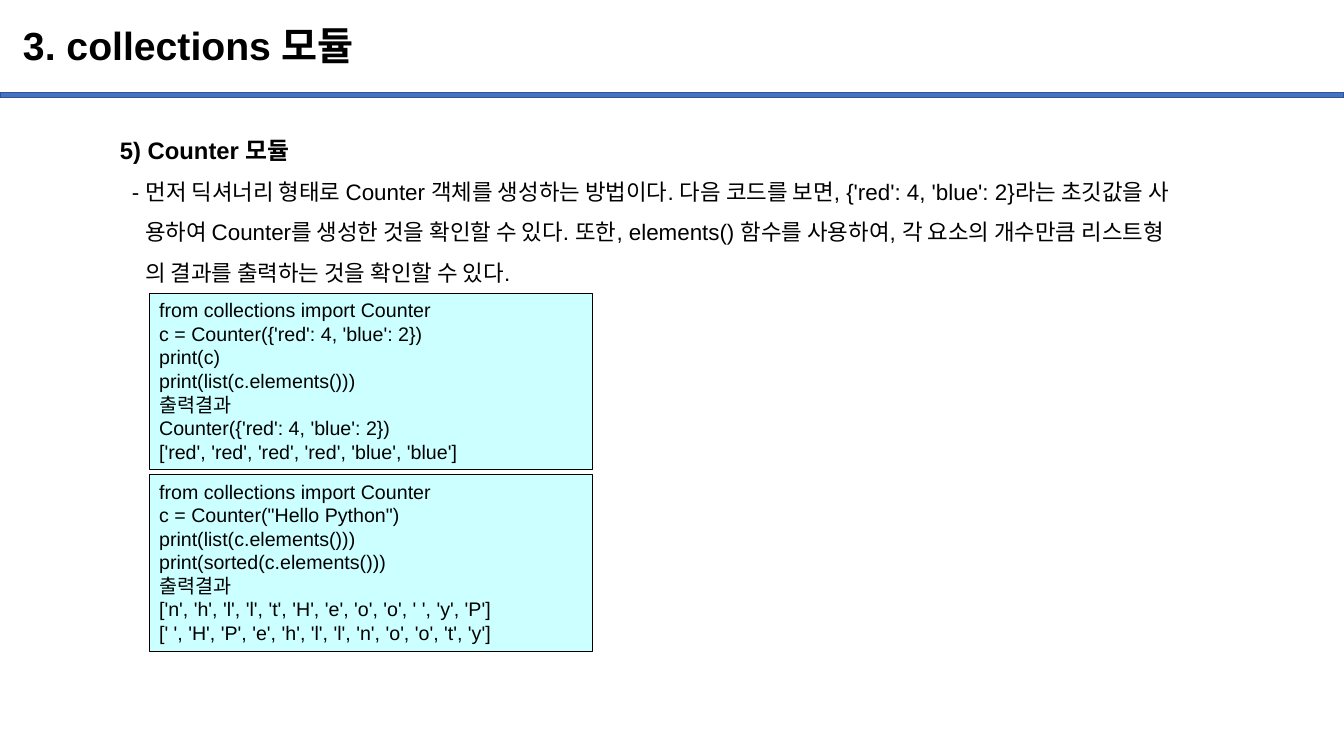
from pptx import Presentation
from pptx.dml.color import RGBColor
from pptx.enum.shapes import MSO_SHAPE
from pptx.enum.text import MSO_ANCHOR, PP_ALIGN
from pptx.util import Inches, Pt

RECT = MSO_SHAPE.RECTANGLE
MIDDLE, TOP = MSO_ANCHOR.MIDDLE, MSO_ANCHOR.TOP
LEFT = PP_ALIGN.LEFT

FONT = "Arial"
COLORS = {
    "text": "000000",
    "rule": "4472C4",
    "rule_edge": "325491",
    "code": "CCFFFF",
    "code_edge": "000000",
}

TITLE = "3. collections 모듈"
HEADING = "5) Counter 모듈"
DESCRIPTION = [
    "- 먼저 딕셔너리 형태로 Counter 객체를 생성하는 방법이다. 다음 코드를 보면, {'red': 4, 'blue': 2}라는 초깃값을 사",
    "용하여 Counter를 생성한 것을 확인할 수 있다. 또한, elements() 함수를 사용하여, 각 요소의 개수만큼 리스트형",
    "의 결과를 출력하는 것을 확인할 수 있다.",
]
CODE_BLOCKS = [
    [
        "from collections import Counter",
        "c = Counter({'red': 4, 'blue': 2})",
        "print(c)",
        "print(list(c.elements()))",
        "출력결과",
        "Counter({'red': 4, 'blue': 2})",
        "['red', 'red', 'red', 'red', 'blue', 'blue']",
    ],
    [
        "from collections import Counter",
        'c = Counter("Hello Python")',
        "print(list(c.elements()))",
        "print(sorted(c.elements()))",
        "출력결과",
        "['n', 'h', 'l', 'l', 't', 'H', 'e', 'o', 'o', ' ', 'y', 'P']",
        "[' ', 'H', 'P', 'e', 'h', 'l', 'l', 'n', 'o', 'o', 't', 'y']",
    ],
]
CODE_LEFT, CODE_TOP = 1.48, 2.91
CODE_WIDTH, CODE_HEIGHT = 4.4, 1.75
CODE_PITCH = 1.8


def rgb(name):
    return RGBColor.from_string(COLORS[name])


def add_line(tf, text, size, bold=False, spacing=1.0, indent=0):
    """Write text as the next paragraph of the frame, using the empty first one."""
    p = tf.paragraphs[0]
    if p.runs:
        p = tf.add_paragraph()
    p.add_run().text = text
    p.alignment = LEFT
    p.line_spacing = spacing
    p.font.name = FONT
    p.font.size = Pt(size)
    p.font.bold = bold
    p.font.color.rgb = rgb("text")
    p._p.get_or_add_pPr().set("marL", str(Inches(indent)))


def add_text_frame(s, left, top, width, height, anchor=TOP):
    box = s.shapes.add_textbox(Inches(left), Inches(top), Inches(width), Inches(height))
    tf = box.text_frame
    tf.word_wrap = True
    tf.vertical_anchor = anchor
    return tf


def add_rect(s, left, top, width, height, fill, edge, edge_width):
    sp = s.shapes.add_shape(RECT, Inches(left), Inches(top), Inches(width), Inches(height))
    sp.shadow.inherit = False
    sp.fill.solid()
    sp.fill.fore_color.rgb = rgb(fill)
    sp.line.color.rgb = rgb(edge)
    sp.line.width = Pt(edge_width)
    return sp


def add_code_block(s, top, lines):
    sp = add_rect(s, CODE_LEFT, top, CODE_WIDTH, CODE_HEIGHT, "code", "code_edge", 0.75)
    tf = sp.text_frame
    tf.word_wrap = True
    tf.vertical_anchor = TOP
    for line in lines:
        add_line(tf, line, 14)


def main():
    prs = Presentation()
    prs.slide_width, prs.slide_height = Inches(13.33), Inches(7.5)
    s = prs.slides.add_slide(prs.slide_layouts[6])

    add_rect(s, 0, 0.92, 13.33, 0.05, "rule", "rule_edge", 1)
    title = add_text_frame(s, 0.13, 0.1, 11.5, 0.74, MIDDLE)
    add_line(title, TITLE, 28, bold=True, spacing=0.9)

    body = add_text_frame(s, 1.09, 1.16, 11.72, 4.52)
    add_line(body, HEADING, 17, bold=True, spacing=1.5)
    for i, line in enumerate(DESCRIPTION):
        add_line(body, line, 16, spacing=1.5, indent=0.25 if i else 0.12)

    for i, lines in enumerate(CODE_BLOCKS):
        add_code_block(s, CODE_TOP + i * CODE_PITCH, lines)

    prs.save("out.pptx")


if __name__ == "__main__":
    main()
